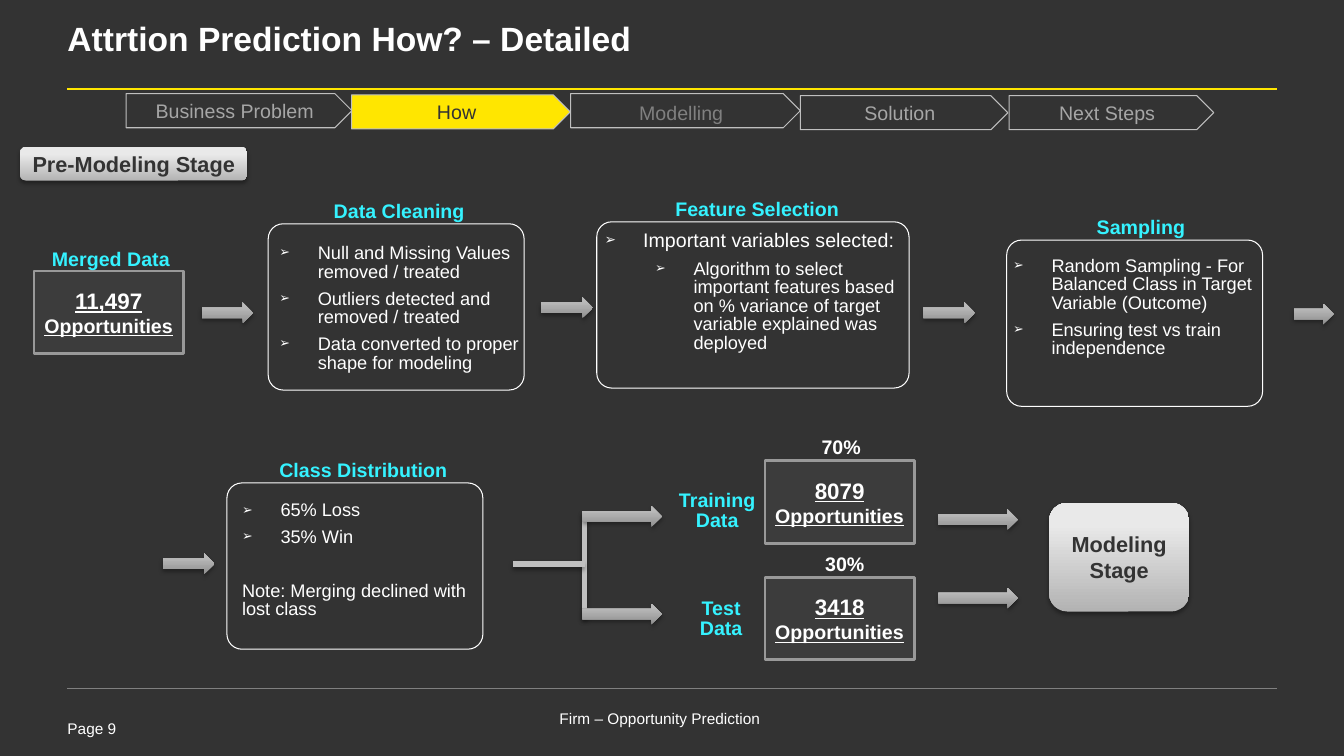
"""Build the pre-modeling stage slide of an attrition prediction deck."""
from lxml import etree
from pptx import Presentation
from pptx import util as u
from pptx.dml.color import RGBColor
from pptx.enum import shapes, text
from pptx.oxml import ns

COLOURS = {
    "background": "333333", "white": "FFFFFF", "yellow": "FFE600", "cyan": "35F2FF",
    "dark": "333333", "panel": "3C3C3C", "panel_line": "999999", "tab_line": "BFBFBF",
    "tab_text": "A6A6A6", "muted": "808080", "branch": "C0C0C0", "shadow": "000000",
    "arrow_low": "8F8F8F", "arrow_high": "BABABA",
    "button_low": "B3B3B3", "button_high": "E9E9E9",
}
KINDS = shapes.MSO_SHAPE
CENTER = text.PP_ALIGN.CENTER
MIDDLE = text.MSO_ANCHOR.MIDDLE
COMPACT = {"line_spacing": 0.85, "space_after": u.Pt(6)}
HANGING = 0.97

TABS = [
    ("Business Problem", 3.18, 2.36, 5.69, "tab_text", None, 0),
    ("How", 8.86, 2.39, 5.51, "dark", "yellow", 0),
    ("Modelling", 14.38, 2.36, 5.79, "muted", None, 0.1),
    ("Solution", 20.17, 2.41, 5.23, "tab_text", None, 0),
    ("Next Steps", 25.43, 2.41, 5.16, "tab_text", None, 0),
]
CARDS = [
    ("Data Cleaning", (8.41, 5), (6.76, 5.64, 6.45), (7.04, 6.07, 6.17),
     [("Null and Missing Values removed / treated", 13, 1),
      ("Outliers detected and removed / treated", 13, 1),
      ("Data converted to proper shape for modeling", 13, 1)]),
    ("Feature Selection", (17.02, 4.95), (15.04, 5.59, 7.87), (15.24, 5.74, 7.67),
     [("Important variables selected:", 14, 1),
      ("Algorithm to select important features based on % variance of target "
       "variable explained was deployed", 13, 2)]),
    ("Sampling", (27.64, 5.41), (25.37, 6.05, 6.45), (25.53, 6.38, 6.17),
     [("Random Sampling - For Balanced Class in Target Variable (Outcome)", 13, 1),
      ("Ensuring test vs train independence", 13, 1)]),
    ("Class Distribution", (7.04, 11.53), (5.72, 12.17, 6.45), (6.1, 12.55, 6.17),
     [("65% Loss", 13, 1), ("35% Win", 13, 1),
      ("Note: Merging declined with lost class", 13, 0)]),
]
COUNTS = [("11,497", 0.86, 6.83), ("8079", 19.28, 11.61), ("3418", 19.28, 14.55)]
LABELS = [
    ("Merged Data", 1.12, 6.22, 3.35, "cyan"),
    ("Training Data", 17.02, 12.29, 2.11, "cyan"),
    ("Test Data", 17.12, 15.01, 2.11, "cyan"),
    ("70%", 20.58, 10.95, 1.24, "white"),
    ("30%", 20.67, 13.89, 1.24, "white"),
]
ARROWS = [
    (5.08, 7.62, 1.3), (13.64, 7.49, 1.3), (23.27, 7.62, 1.3), (32.61, 7.65, 1),
    (4.11, 13.94, 1.3), (14.68, 12.75, 2), (14.68, 15.21, 2),
    (23.65, 12.83, 2), (23.65, 14.81, 2),
]


def colour(name):
    """Return the RGB value of a named colour."""
    return RGBColor.from_string(COLOURS[name])


def apply_format(target, values):
    """Set each attribute in values on the target."""
    for name, value in values.items():
        setattr(target, name, value)


def add_child(parent, tag, **attributes):
    """Append a DrawingML child element."""
    return etree.SubElement(parent, ns.qn("a:" + tag), attributes)


def setup_frame(frame, top=0, **values):
    """Give a text frame wrapping and small margins."""
    margins = {"margin_left": 0, "margin_right": 0, "margin_bottom": 0, "margin_top": u.Cm(top)}
    apply_format(frame, {"word_wrap": True, "auto_size": text.MSO_AUTO_SIZE.NONE, **margins, **values})


def write_paragraph(frame, words, size, tint, font=None, **layout):
    """Write words into the first empty paragraph or a new one."""
    paragraph = frame.add_paragraph() if frame.text else frame.paragraphs[0]
    apply_format(paragraph, layout)
    run = paragraph.add_run()
    run.text = words
    apply_format(run.font, {"name": "Arial", "size": u.Pt(size), **(font or {})})
    run.font.color.rgb = colour(tint)
    return paragraph


def add_bullet(paragraph, level):
    """Add a hanging arrow bullet at an indent level."""
    properties = paragraph._p.get_or_add_pPr()
    properties.set("marL", str(u.Cm(HANGING + 1.27 * (level - 1))))
    properties.set("indent", str(-u.Cm(HANGING)))
    add_child(add_child(properties, "buClr"), "srgbClr", val=COLOURS["white"])
    add_child(properties, "buSzPct", val="70000")
    add_child(properties, "buFont", typeface="Arial")
    add_child(properties, "buChar", char="➢")


def add_shadow(shape):
    """Append a soft shadow that falls downwards."""
    effects = add_child(shape._element.spPr, "effectLst")
    outer = add_child(effects, "outerShdw", blurRad=str(u.Pt(3.1)), dist=str(u.Pt(1.8)),
                      dir="5400000", algn="ctr", rotWithShape="0")
    add_child(add_child(outer, "srgbClr", val=COLOURS["shadow"]), "alpha", val="35000")


def add_text(slide, box, words, size, tint, top=0, font=None, **layout):
    """Add a text box with one paragraph."""
    frame = slide.shapes.add_textbox(*map(u.Cm, box)).text_frame
    setup_frame(frame, top)
    write_paragraph(frame, words, size, tint, font, **layout)


def add_outlined(slide, kind, box, line, width, fill=None):
    """Add a flat shape with an outline and an optional fill."""
    shape = slide.shapes.add_shape(kind, *map(u.Cm, box))
    shape.shadow.inherit = False
    if fill:
        shape.fill.solid()
        shape.fill.fore_color.rgb = colour(fill)
    else:
        shape.fill.background()
    shape.line.color.rgb = colour(line)
    shape.line.width = u.Pt(width)
    setup_frame(shape.text_frame, vertical_anchor=MIDDLE)
    return shape


def add_gradient(slide, kind, box, family, lines=()):
    """Add a shadowed gradient shape with optional bold lines."""
    shape = slide.shapes.add_shape(kind, *map(u.Cm, box))
    shape.fill.gradient()
    shape.fill.gradient_angle = 90
    for stop, end, position in zip(shape.fill.gradient_stops, ("low", "high"), (0, 0.8)):
        stop.color.rgb = colour(f"{family}_{end}")
        stop.position = position
    shape.line.fill.background()
    add_shadow(shape)
    setup_frame(shape.text_frame, vertical_anchor=MIDDLE)
    for words in lines:
        write_paragraph(shape.text_frame, words, 15.5, "dark", {"bold": True}, alignment=CENTER)


def add_line(slide, ends, tint, width, shadow=False):
    """Add a straight line, with a shadow if asked."""
    line = slide.shapes.add_connector(shapes.MSO_CONNECTOR.STRAIGHT, *map(u.Cm, ends))
    line.line.color.rgb = colour(tint)
    line.line.width = u.Pt(width)
    if shadow:
        add_shadow(line)
    else:
        add_child(line._element.spPr, "effectLst")


def add_card(slide, heading, heading_at, frame_at, body_at, items):
    """Add a rounded card with a heading and body items."""
    card = add_outlined(slide, KINDS.ROUNDED_RECTANGLE, (*frame_at, 4.19), "white", 0.75)
    card.adjustments[0] = 0.09
    add_text(slide, (*heading_at, 4.6, 0.61), heading, 14, "cyan", 0.1, {"bold": True}, **COMPACT)
    body = slide.shapes.add_textbox(*map(u.Cm, (*body_at, 3.35))).text_frame
    setup_frame(body, 0.1)
    for words, size, level in items:
        paragraph = write_paragraph(body, words, size, "white", **COMPACT)
        if level:
            add_bullet(paragraph, level)
        else:
            paragraph.space_before = u.Pt(19)


def add_count(slide, number, left, top):
    """Add a panel with an underlined number of opportunities."""
    panel = add_outlined(slide, KINDS.RECTANGLE, (left, top, 3.76, 2.08), "panel_line", 2, "panel")
    for words, size in ((number, 16), ("Opportunities", 14)):
        write_paragraph(panel.text_frame, words, size, "white",
                        {"bold": True, "underline": True}, alignment=CENTER)


def add_title(slide, words):
    """Place and format the slide title."""
    title = slide.shapes.title
    box = zip(("left", "top", "width", "height"), map(u.Cm, (1.7, -0.23, 30.48, 2.39)))
    apply_format(title, dict(box))
    setup_frame(title.text_frame, vertical_anchor=MIDDLE)
    write_paragraph(title.text_frame, words, 24, "white", {"bold": True},
                    alignment=text.PP_ALIGN.LEFT)


def main():
    """Build and save the slide."""
    presentation = Presentation()
    apply_format(presentation, {"slide_width": u.Cm(33.87), "slide_height": u.Cm(19.05)})
    slide = presentation.slides.add_slide(presentation.slide_layouts[5])
    slide.background.fill.solid()
    slide.background.fill.fore_color.rgb = colour("background")
    add_title(slide, "Attrtion Prediction How? – Detailed")
    add_line(slide, (1.7, 2.24, 32.18, 2.24), "yellow", 1.5)
    add_line(slide, (1.7, 17.35, 32.18, 17.35), "muted", 0.25)
    add_text(slide, (1.7, 18.11, 2.46, 0.56), "Page 9", 11, "white")
    add_text(slide, (14.1, 17.86, 6.4, 0.58), "Firm – Opportunity Prediction", 11, "white")
    for words, left, top, width, tint, fill, inset in TABS:
        tab = add_outlined(slide, KINDS.PENTAGON, (left, top, width, 0.86), "tab_line", 0.75, fill)
        tab.text_frame.margin_top = u.Cm(inset)
        write_paragraph(tab.text_frame, words, 14, tint, alignment=CENTER)
    for card in CARDS:
        add_card(slide, *card)
    for count in COUNTS:
        add_count(slide, *count)
    for words, left, top, width, tint in LABELS:
        add_text(slide, (left, top, width, 0.61), words, 14, tint, 0.1, {"bold": True},
                 alignment=CENTER, **COMPACT)
    add_line(slide, (14.73, 12.9, 14.73, 15.6), "branch", 4.25, True)
    add_line(slide, (12.93, 14.22, 14.73, 14.22), "branch", 4.25, True)
    for left, top, width in ARROWS:
        add_gradient(slide, KINDS.RIGHT_ARROW, (left, top, width, 0.53), "arrow")
    for box, lines in (((0.51, 3.71, 5.72, 0.84), ["Pre-Modeling Stage"]),
                       ((26.44, 12.67, 3.53, 2.74), ["Modeling", "Stage"])):
        add_gradient(slide, KINDS.ROUNDED_RECTANGLE, box, "button", lines)
    presentation.save("out.pptx")


if __name__ == "__main__":
    main()
